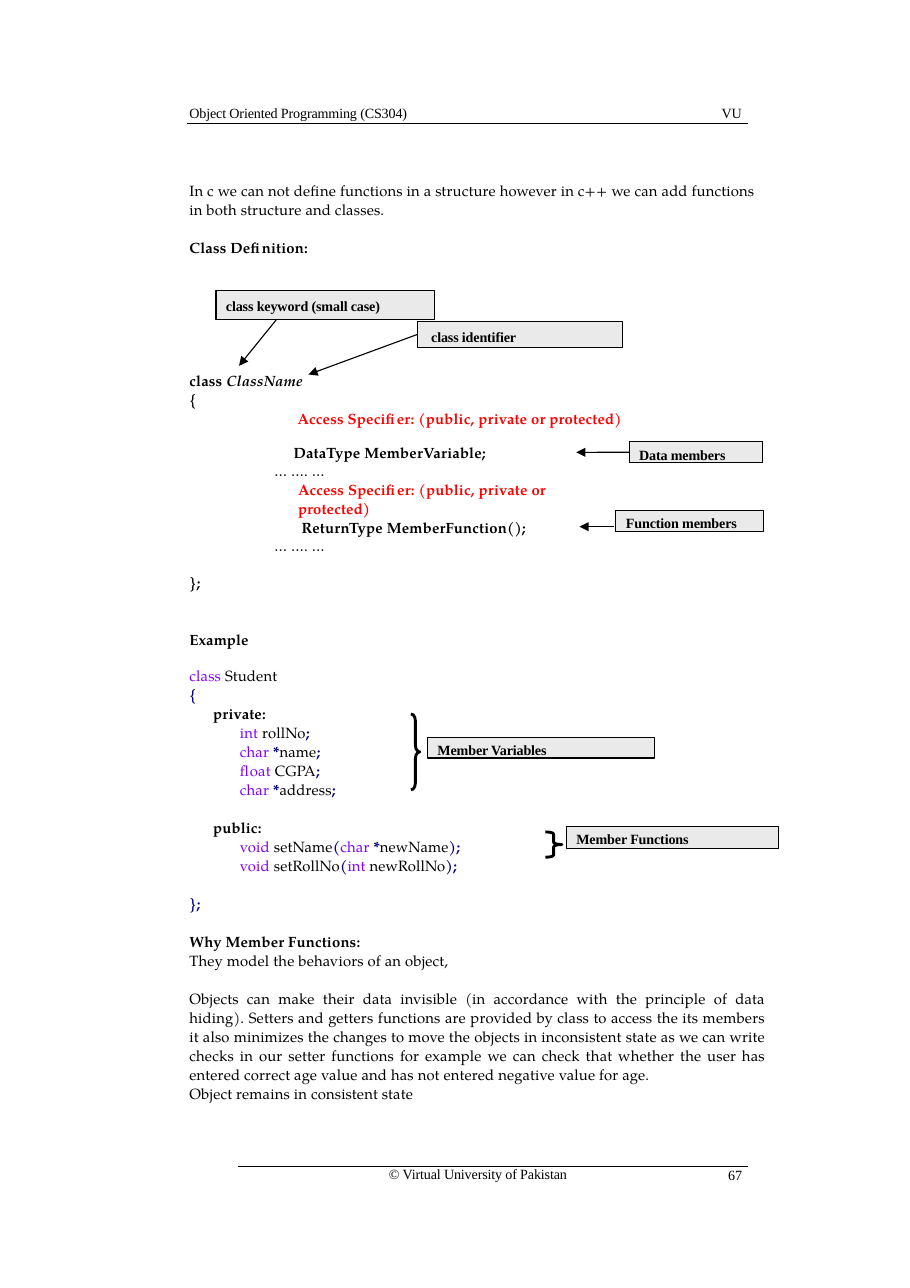
"""Builds a course handout page on class definitions with labelled code."""
from dataclasses import dataclass
from typing import Optional

from lxml import etree
from pptx import Presentation
from pptx import util as u
from pptx.dml.color import RGBColor
from pptx.enum import shapes, text
from pptx.oxml.ns import qn

WIDTH, HEIGHT = 8.26, 11.69
LINE_PITCH = 12.4
MARGIN, BODY_WIDTH = 20.82, 63.4
BLACK, RED, PURPLE, NAVY, GREY = "000000", "FF0000", "8000FF", "000080", "EAEAEA"


@dataclass(frozen=True)
class Style:
    font: str
    size: float
    tracking: int
    pitch: Optional[float] = None


BODY = Style("TeX Gyre Pagella", 9.7, 10, LINE_PITCH)
SMALL = Style("Times New Roman", 9.2, -10)


@dataclass(frozen=True)
class Run:
    words: str
    colour: str = BLACK
    bold: bool = False
    italic: bool = False


@dataclass(frozen=True)
class Line:
    runs: tuple[Run, ...]
    indent: float = 0
    blank_before: int = 0
    justified: bool = False


@dataclass(frozen=True)
class Block:
    left: float
    top: float
    width: float
    rows: int
    lines: tuple[Line, ...]
    style: Style = BODY


@dataclass(frozen=True)
class Label:
    words: str
    left: float
    top: float
    width: float
    height: float = 1.63
    inset_left: float = 1.1
    inset_top: float = 0.34


@dataclass(frozen=True)
class Stroke:
    start: tuple[float, float]
    end: tuple[float, float]
    from_label: Optional[str] = None


@dataclass(frozen=True)
class Brace:
    left: float
    top: float
    width: float
    height: float
    curve: float


def x(share: float) -> int:
    return u.Inches(share * WIDTH / 100)


def y(share: float) -> int:
    return u.Inches(share * HEIGHT / 100)


def rgb(colour: str) -> RGBColor:
    return RGBColor.from_string(colour)


def line(words: str, indent: float = 0, blank_before: int = 0, bold: bool = False,
         colour: str = BLACK, justified: bool = False) -> Line:
    return Line((Run(words, colour, bold),), indent, blank_before, justified)


def key(words: str) -> Run:
    return Run(words, PURPLE)


def sign(words: str) -> Run:
    return Run(words, NAVY, bold=True)


def member(kind: str, name: str, star: str = "") -> Line:
    pointer = (sign(star),) if star else ()
    return Line((key(kind + " "), *pointer, Run(name), sign(";")), 5.55)


def setter(name: str, kind: str, argument: str, star: str = "") -> Line:
    pointer = (sign(star),) if star else ()
    return Line((key("void "), Run(name), sign("("), key(kind + " "), *pointer,
                 Run(argument), sign(");")), 5.55)


ACCESS = "Access Specifier: (public, private or protected)"
DOTS = "… …. …"
BLOCKS = (
    Block(MARGIN, 8.13, 30, 1, (line("Object Oriented Programming (CS304)"),), SMALL),
    Block(79.3, 8.13, 4, 1, (line("VU"),), SMALL),
    Block(42.74, 90.5, 25, 1, (line("© Virtual University of Pakistan"),), SMALL),
    Block(80.02, 90.59, 4, 1, (line("67"),), SMALL),
    Block(MARGIN, 14.03, BODY_WIDTH, 4, (
        line("In c we can not define functions in a structure however in c++ we can add "
             "functions in both structure and classes."),
        line("Class Definition:", blank_before=1, bold=True))),
    Block(MARGIN, 28.8, BODY_WIDTH, 3, (
        Line((Run("class ", bold=True), Run("ClassName", bold=True, italic=True))),
        line("{", bold=True),
        line(ACCESS, 11.9, bold=True, colour=RED))),
    Block(30.15, 34.32, 35, 4, (
        line("DataType MemberVariable;", 2.1, bold=True),
        line(DOTS),
        line(ACCESS, 2.6, bold=True, colour=RED))),
    Block(30.15, 40.14, 35, 2, (
        line("ReturnType MemberFunction();", 3, bold=True),
        line(DOTS))),
    Block(MARGIN, 44.48, 20, 4, (
        line("};", bold=True),
        line("Example", blank_before=2, bold=True))),
    Block(MARGIN, 51.7, 38, 13, (
        Line((key("class "), Run("Student"))),
        Line((sign("{"),)),
        line("private:", 2.6, bold=True),
        member("int", "rollNo"),
        member("char", "name", "*"),
        member("float", "CGPA"),
        member("char", "address", "*"),
        line("public:", 2.6, blank_before=1, bold=True),
        setter("setName", "char", "newName", "*"),
        setter("setRollNo", "int", "newRollNo"),
        Line((sign("};"),), blank_before=1))),
    Block(MARGIN, 72.35, BODY_WIDTH, 9, (
        line("Why Member Functions:", bold=True),
        line("They model the behaviors of an object,"),
        line("Objects can make their data invisible (in accordance with the principle of data "
             "hiding). Setters and getters functions are provided by class to access the its "
             "members it also minimizes the changes to move the objects in inconsistent state "
             "as we can write checks in our setter functions for example we can check that "
             "whether the user has entered correct age value and has not entered negative "
             "value for age.", blank_before=1, justified=True),
        line("Object remains in consistent state"))),
)
LABELS = (
    Label("class keyword (small case)", 23.73, 22.58, 23.97, 2.22, inset_top=0.51),
    Label("class identifier", 45.88, 24.98, 22.52, 1.97, 1.5, 0.51),
    Label("Data members", 69.13, 34.3, 14.65),
    Label("Function members", 67.68, 39.61, 16.22),
    Label("Member Variables", 46.97, 57.23, 24.94),
    Label("Member Functions", 62.23, 64.16, 23.37, 1.71),
)
RULES = (Stroke((20.58, 9.58), (82.2, 9.58)), Stroke((26.15, 90.59), (82.2, 90.59)))
ARROWS = (
    Stroke((30.39, 24.81), (26.27, 28.4)),
    Stroke((45.88, 25.97), (33.9, 29.08), "class identifier"),
    Stroke((69.13, 35.12), (63.32, 35.12), "Data members"),
    Stroke((67.43, 40.89), (63.68, 40.89)),
)
BRACES = (Brace(45.16, 55.43, 0.97, 5.9, 0.75), Brace(59.93, 64.59, 1.82, 1.97, 0.13))


def add_run(paragraph, run: Run, style: Style) -> None:
    piece = paragraph.add_run()
    piece.text = run.words
    font = piece.font
    font.name, font.size = style.font, u.Pt(style.size)
    font.bold, font.italic = run.bold, run.italic
    font.color.rgb = rgb(run.colour)
    font._element.set("spc", str(style.tracking))


def fill_frame(frame, lines: tuple[Line, ...], style: Style,
               inset_left: float = 0, inset_top: float = 0) -> None:
    frame.word_wrap = True
    frame.vertical_anchor = text.MSO_ANCHOR.TOP
    frame.margin_left, frame.margin_top = x(inset_left), y(inset_top)
    frame.margin_right = frame.margin_bottom = 0
    for index, item in enumerate(lines):
        paragraph = frame.add_paragraph() if index else frame.paragraphs[0]
        paragraph.alignment = text.PP_ALIGN.JUSTIFY if item.justified else text.PP_ALIGN.LEFT
        paragraph._p.get_or_add_pPr().set("marL", str(x(item.indent)))
        if style.pitch:
            paragraph.line_spacing = u.Pt(style.pitch)
        if item.blank_before:
            paragraph.space_before = u.Pt(item.blank_before * LINE_PITCH)
        for run in item.runs:
            add_run(paragraph, run, style)


def add_block(slide, block: Block) -> None:
    box = slide.shapes.add_textbox(x(block.left), y(block.top), x(block.width),
                                   u.Pt(block.rows * LINE_PITCH))
    fill_frame(box.text_frame, block.lines, block.style)


def add_label(slide, label: Label):
    shape = slide.shapes.add_shape(shapes.MSO_SHAPE.RECTANGLE, x(label.left), y(label.top),
                                   x(label.width), y(label.height))
    shape.shadow.inherit = False
    shape.fill.solid()
    shape.fill.fore_color.rgb = rgb(GREY)
    shape.line.color.rgb = rgb(BLACK)
    shape.line.width = u.Pt(0.71)
    fill_frame(shape.text_frame, (line(label.words, bold=True),), SMALL,
               label.inset_left, label.inset_top)
    return shape


def add_stroke(slide, stroke: Stroke, weight: float):
    connector = slide.shapes.add_connector(
        shapes.MSO_CONNECTOR.STRAIGHT, x(stroke.start[0]), y(stroke.start[1]),
        x(stroke.end[0]), y(stroke.end[1]))
    connector.line.color.rgb = rgb(BLACK)
    connector.line.width = u.Pt(weight)
    etree.SubElement(connector._element.spPr, qn("a:effectLst"))
    return connector


def add_arrow(slide, stroke: Stroke, labels: dict) -> None:
    connector = add_stroke(slide, stroke, 0.75)
    etree.SubElement(connector.line._get_or_add_ln(), qn("a:tailEnd"), type="triangle")
    if stroke.from_label:
        connector.begin_connect(labels[stroke.from_label], 1)


def add_brace(slide, brace: Brace) -> None:
    shape = slide.shapes.add_shape(shapes.MSO_SHAPE.RIGHT_BRACE, x(brace.left), y(brace.top),
                                   x(brace.width), y(brace.height))
    shape.shadow.inherit = False
    shape.adjustments[0] = brace.curve
    shape.fill.background()
    shape.line.color.rgb = rgb(BLACK)
    shape.line.width = u.Pt(1.88)


def main() -> None:
    presentation = Presentation()
    presentation.slide_width, presentation.slide_height = u.Inches(WIDTH), u.Inches(HEIGHT)
    slide = presentation.slides.add_slide(presentation.slide_layouts[6])
    for rule in RULES:
        add_stroke(slide, rule, 0.66)
    for block in BLOCKS:
        add_block(slide, block)
    labels = {label.words: add_label(slide, label) for label in LABELS}
    for arrow in ARROWS:
        add_arrow(slide, arrow, labels)
    for brace in BRACES:
        add_brace(slide, brace)
    presentation.save("out.pptx")


if __name__ == "__main__":
    main()
